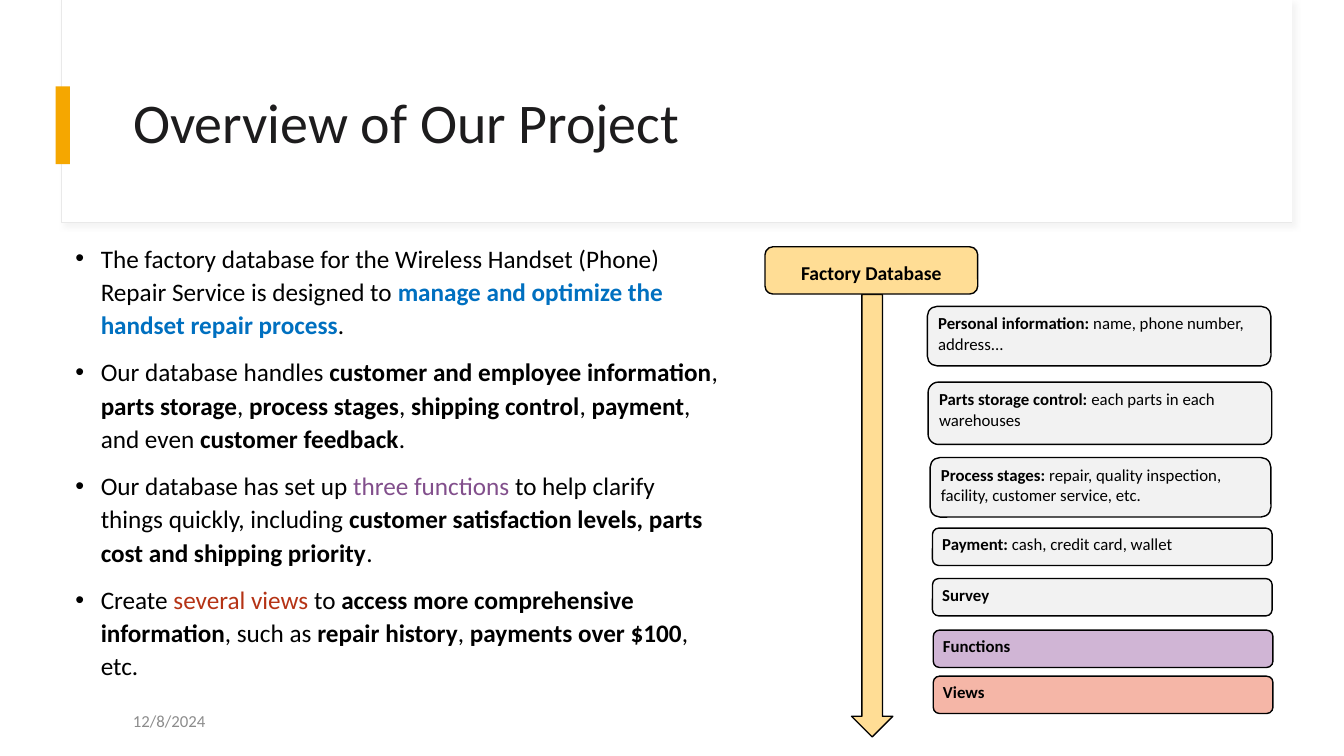
from dataclasses import dataclass

from pptx import Presentation
from pptx import util as u
from pptx.dml.color import RGBColor
from pptx.enum import shapes, text
from pptx.oxml import parse_xml
from pptx.oxml.ns import nsdecls


@dataclass(frozen=True)
class Theme:
    font: str = "Calibri"
    white: str = "FFFFFF"
    black: str = "000000"
    title: str = "1D1C1D"
    muted: str = "8C8C8C"
    accent: str = "F5A700"
    panel_line: str = "E9E9E9"
    shadow: str = "D9D9D9"
    database: str = "FFDD95"
    card: str = "F2F2F2"
    functions: str = "D0B5D5"
    views: str = "F5B6A7"
    blue: str = "0070C0"
    purple: str = "824F8C"
    red: str = "B53315"
    title_size: int = 40
    body_size: int = 18
    label_size: int = 14
    small_size: int = 12


class SlideBuilder:
    def __init__(self, presentation, theme):
        self.theme = theme
        self.slide = presentation.slides.add_slide(presentation.slide_layouts[5])

    def add_runs(self, paragraph, runs, size, color=None):
        for words, bold, run_color in runs:
            run = paragraph.add_run()
            run.text = words
            run.font.name = self.theme.font
            run.font.size = u.Pt(size)
            run.font.bold = bold
            run.font.color.rgb = RGBColor.from_string(run_color or color or self.theme.black)

    def title(self, words, box):
        title = self.slide.shapes.title
        title.left, title.top, title.width, title.height = map(u.Cm, box)
        frame = title.text_frame
        frame.auto_size = text.MSO_AUTO_SIZE.NONE
        frame.vertical_anchor = text.MSO_ANCHOR.MIDDLE
        paragraph = frame.paragraphs[0]
        paragraph.alignment = text.PP_ALIGN.LEFT
        paragraph.line_spacing = 0.9
        self.add_runs(paragraph, [(words, False, None)], self.theme.title_size, self.theme.title)
        title.element.getparent().append(title.element)

    def shape(self, kind, box, fill, line=None, line_width=1):
        shape = self.slide.shapes.add_shape(kind, *map(u.Cm, box))
        shape.shadow.inherit = False
        shape.fill.solid()
        shape.fill.fore_color.rgb = RGBColor.from_string(fill)
        if line:
            shape.line.color.rgb = RGBColor.from_string(line)
            shape.line.width = u.Pt(line_width)
        else:
            shape.line.fill.background()
        return shape

    def cast_shadow(self, shape):
        effects = shape.element.spPr.find("{*}effectLst")
        effects.append(parse_xml(
            f'<a:outerShdw {nsdecls("a")} blurRad="{u.Pt(4)}" dist="{u.Pt(3)}" dir="2700000">'
            f'<a:srgbClr val="{self.theme.shadow}"><a:alpha val="30000"/></a:srgbClr>'
            "</a:outerShdw>"))

    def card(self, box, fill, runs, size, centered=False):
        shape = self.shape(shapes.MSO_SHAPE.ROUNDED_RECTANGLE, box, fill, self.theme.black)
        frame = shape.text_frame
        frame.word_wrap = True
        frame.margin_left = frame.margin_right = u.Cm(0.2)
        frame.margin_top = u.Cm(0.13 if centered else 0.1)
        frame.margin_bottom = u.Cm(0)
        frame.vertical_anchor = text.MSO_ANCHOR.MIDDLE if centered else text.MSO_ANCHOR.TOP
        paragraph = frame.paragraphs[0]
        paragraph.alignment = text.PP_ALIGN.CENTER if centered else text.PP_ALIGN.LEFT
        self.add_runs(paragraph, runs, size)

    def text_frame(self, box):
        frame = self.slide.shapes.add_textbox(*map(u.Cm, box)).text_frame
        frame.word_wrap = True
        return frame

    def note(self, words, box):
        frame = self.text_frame(box)
        frame.vertical_anchor = text.MSO_ANCHOR.MIDDLE
        self.add_runs(frame.paragraphs[0], [(words, False, None)],
                      self.theme.small_size, self.theme.muted)

    def bullets(self, items, box):
        frame = self.text_frame(box)
        for index, runs in enumerate(items):
            paragraph = frame.add_paragraph() if index else frame.paragraphs[0]
            properties = paragraph._p.get_or_add_pPr()
            properties.set("marL", str(u.Cm(0.64)))
            properties.set("indent", str(u.Cm(-0.64)))
            properties.append(parse_xml(f'<a:buFont {nsdecls("a")} typeface="Arial"/>'))
            properties.append(parse_xml(f'<a:buChar {nsdecls("a")} char="•"/>'))
            paragraph.line_spacing = 1.1
            paragraph.space_before = u.Pt(10 if index else 0)
            self.add_runs(paragraph, runs, self.theme.body_size)


def plain(words, color=None):
    return words, False, color


def bold(words, color=None):
    return words, True, color


def main():
    presentation = Presentation()
    presentation.slide_width = u.Cm(33.87)
    presentation.slide_height = u.Cm(19.05)
    theme = Theme()
    builder = SlideBuilder(presentation, theme)
    kinds = shapes.MSO_SHAPE

    panel = builder.shape(kinds.RECTANGLE, (1.55, 0, 31.01, 5.61), theme.white,
                          theme.panel_line, 0.75)
    builder.cast_shadow(panel)
    builder.shape(kinds.RECTANGLE, (1.57, 0, 30.99, 5.59), theme.white)
    builder.shape(kinds.RECTANGLE, (1.4, 2.18, 0.36, 1.96), theme.accent)
    builder.shape(kinds.DOWN_ARROW, (21.46, 7.42, 1.04, 11.15), theme.database, theme.black)
    builder.note("12/8/2024", (3.1, 17.65, 7.62, 1.02))
    builder.title("Overview of Our Project", (3.1, 1.52, 28.24, 3.28))

    builder.bullets([
        [plain("The factory database for the Wireless Handset (Phone) Repair Service is designed to "),
         bold("manage and optimize the handset repair process", theme.blue), plain(".")],
        [plain("Our database handles "), bold("customer and employee information"), plain(", "),
         bold("parts storage"), plain(", "), bold("process stages"), plain(", "),
         bold("shipping control"), plain(", "), bold("payment"), plain(", and even "),
         bold("customer feedback"), plain(".")],
        [plain("Our database has set up "), plain("three functions", theme.purple),
         plain(" to help clarify things quickly, including "),
         bold("customer satisfaction levels, parts cost and shipping priority"), plain(".")],
        [plain("Create "), plain("several views", theme.red), plain(" to "),
         bold("access more comprehensive information"), plain(", such as "),
         bold("repair history"), plain(", "), bold("payments over $100"), plain(", etc.")],
    ], (1.65, 5.92, 16.79, 12.29))

    builder.card((19.28, 6.22, 5.36, 1.19), theme.database, [bold("Factory Database")],
                 theme.label_size, centered=True)
    cards = [
        ((23.37, 7.72, 8.66, 1.5), theme.card,
         "Personal information: ", "name, phone number, address..."),
        ((23.39, 9.63, 8.66, 1.57), theme.card,
         "Parts storage control: ", "each parts in each warehouses"),
        ((23.44, 11.53, 8.59, 1.5), theme.card,
         "Process stages: ", "repair, quality inspection, facility, customer service, etc."),
        ((23.5, 13.31, 8.56, 0.94), theme.card, "Payment: ", "cash, credit card, wallet"),
        ((23.5, 14.58, 8.56, 0.94), theme.card, "Survey", ""),
        ((23.52, 15.88, 8.56, 0.94), theme.functions, "Functions", ""),
        ((23.52, 17.04, 8.56, 0.94), theme.views, "Views", ""),
    ]
    for box, fill, heading, detail in cards:
        runs = [bold(heading)] + ([plain(detail)] if detail else [])
        builder.card(box, fill, runs, theme.small_size)

    presentation.save("out.pptx")


if __name__ == "__main__":
    main()
